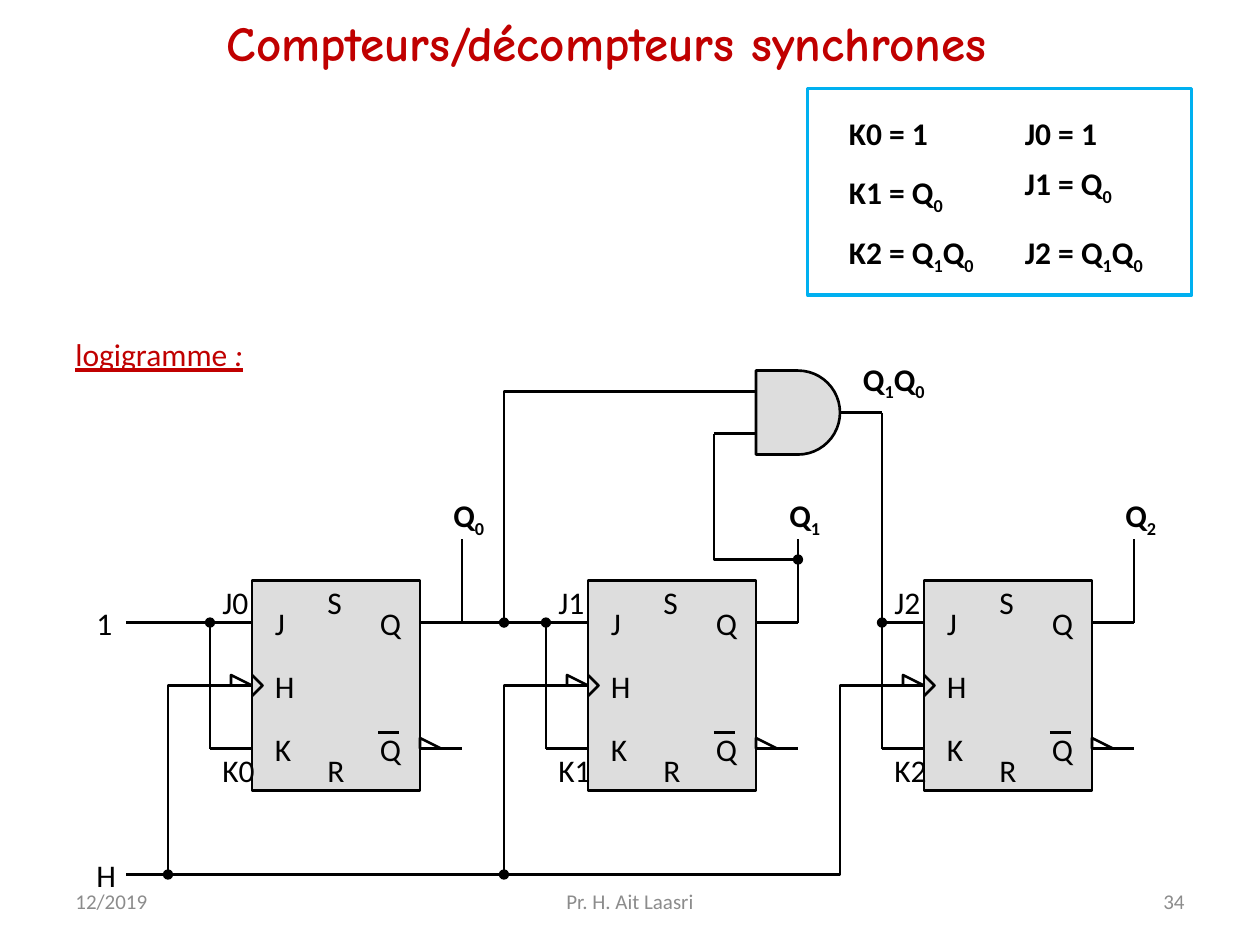
import dataclasses

import lxml.etree
import pptx
import pptx.dml.color
import pptx.enum.shapes
import pptx.enum.text
import pptx.oxml.ns
import pptx.util

Pt = pptx.util.Pt
Align = pptx.enum.text.PP_ALIGN
Preset = pptx.enum.shapes.MSO_SHAPE
AutoSize = pptx.enum.text.MSO_AUTO_SIZE
Middle = pptx.enum.text.MSO_ANCHOR.MIDDLE


@dataclasses.dataclass(frozen=True)
class Theme:
    """Colours, fonts and sizes of the slide."""
    ink: str = "000000"
    accent: str = "C00000"
    frame: str = "00B0F0"
    block: str = "DDDDDD"
    muted: str = "8C8C8C"
    body_font: str = "Calibri"
    title_font: str = "Comic Neue"
    title_size: float = 28
    body_size: float = 18
    footer_size: float = 12
    wire_width: float = 1.5
    frame_width: float = 2


def rgb(colour):
    """Turn a hex string into a colour."""
    return pptx.dml.color.RGBColor.from_string(colour)


def grid(x, y):
    """Place a point of the circuit grid, 12 points a step."""
    return Pt(12 * x), Pt(12 * y + 7.75)


class Board:
    """Draws text and circuit parts on one slide."""

    def __init__(self, slide, theme):
        """Keep the slide and its style."""
        self.slide = slide
        self.shapes = slide.shapes
        self.theme = theme

    def run(self, paragraph, text, size=None, colour=None, font=None,
            bold=False, italic=False, underline=False, subscript=False):
        """Add one formatted run."""
        piece = paragraph.add_run()
        piece.text = text
        piece.font.name = font or self.theme.body_font
        piece.font.size = Pt(size or self.theme.body_size)
        piece.font.color.rgb = rgb(colour or self.theme.ink)
        piece.font.bold = bold
        piece.font.italic = italic
        piece.font.underline = underline
        if subscript:
            piece._r.get_or_add_rPr().set("baseline", "-25000")

    def symbols(self, paragraph, text, bold=False):
        """Add text in which each underscore lowers the next character."""
        start, *rest = text.split("_")
        self.run(paragraph, start, bold=bold)
        for part in rest:
            self.run(paragraph, part[0], bold=bold, subscript=True)
            if part[1:]:
                self.run(paragraph, part[1:], bold=bold)

    def text_box(self, left, top, width, height, wrap=True, middle=False):
        """Add an empty text box and return its text frame."""
        frame = self.shapes.add_textbox(left, top, width, height).text_frame
        frame.word_wrap = wrap
        if middle:
            frame.vertical_anchor = Middle
        else:
            frame.auto_size = AutoSize.SHAPE_TO_FIT_TEXT
        return frame

    def title(self, text, left, top, width, height):
        """Fill and place the title placeholder."""
        heading = self.shapes.title
        heading.left, heading.top = Pt(left), Pt(top)
        heading.width, heading.height = Pt(width), Pt(height)
        frame = heading.text_frame
        frame.auto_size = AutoSize.NONE
        frame.vertical_anchor = Middle
        frame.paragraphs[0].alignment = Align.CENTER
        self.run(frame.paragraphs[0], text, self.theme.title_size,
                 self.theme.accent, self.theme.title_font, bold=True)

    def footer(self, text, left, width, align):
        """Add one part of the footer line."""
        frame = self.text_box(Pt(left), Pt(500.5), Pt(width), Pt(29), middle=True)
        frame.paragraphs[0].alignment = align
        self.run(frame.paragraphs[0], text, self.theme.footer_size, self.theme.muted)

    def label(self, text, x, y, bold=False, width=2):
        """Add a pin or signal name on the grid, on one line."""
        frame = self.text_box(*grid(x, y), Pt(12 * width), Pt(24),
                              wrap=False, middle=True)
        frame.margin_right = 0
        self.symbols(frame.paragraphs[0], text, bold)

    def formula(self, text, left, top, width):
        """Add one input equation."""
        frame = self.text_box(Pt(left), Pt(top), Pt(width), Pt(29), wrap=False)
        self.symbols(frame.paragraphs[0], text, bold=True)

    def block(self, preset, left, top, width, height, fill=None, line=None, weight=None):
        """Add a preset outline, filled or open."""
        shape = self.shapes.add_shape(preset, left, top, width, height)
        shape.shadow.inherit = False
        if fill:
            shape.fill.solid()
            shape.fill.fore_color.rgb = rgb(fill)
        else:
            shape.fill.background()
        shape.line.color.rgb = rgb(line or self.theme.ink)
        shape.line.width = Pt(weight or self.theme.wire_width)

    def wire(self, *points, dot=False):
        """Join grid points, with a junction dot at the first if asked."""
        places = [grid(*point) for point in points]
        if len(places) == 2:
            wire = self.shapes.add_connector(
                pptx.enum.shapes.MSO_CONNECTOR.STRAIGHT, *places[0], *places[1])
            lxml.etree.SubElement(wire._element.spPr, pptx.oxml.ns.qn("a:effectLst"))
        else:
            builder = self.shapes.build_freeform(*places[0])
            builder.add_line_segments(places[1:], close=False)
            wire = builder.convert_to_shape()
            wire.shadow.inherit = False
            wire.fill.background()
        wire.line.color.rgb = rgb(self.theme.ink)
        wire.line.width = Pt(self.theme.wire_width)
        if dot:
            outline = wire.line._get_or_add_ln()
            lxml.etree.SubElement(outline, pptx.oxml.ns.qn("a:headEnd"), type="oval")

    def flip_flop(self, x, index):
        """Draw a JK flip-flop whose left edge is at x, with its output."""
        self.block(Preset.RECTANGLE, *grid(x, 27), Pt(96), Pt(120), self.theme.block)
        for y in (29, 32, 35):
            self.wire((x - 2, y), (x, y))
        for y in (29, 35):
            self.wire((x + 8, y), (x + 10, y))
        self.wire((x + 6, 34.25), (x + 7, 34.25))
        self.wire((x, 31.5), (x + 0.5, 32), (x, 32.5))
        self.wire((x, 32), (x - 1, 31.5), (x - 1, 32))
        self.wire((x + 8, 35), (x + 8, 34.5), (x + 9, 35))
        pins = [("J", 0.5, 28), ("H", 0.5, 31), ("K", 0.5, 34), ("Q", 5.5, 28),
                ("Q", 5.5, 34), ("S", 3, 27), ("R", 3, 35)]
        for name, offset, y in pins:
            self.label(name, x + offset, y)
        for name, y in (("J", 27), ("K", 35)):
            self.label(f"{name}{index}", x - 2, y, width=2.5)
        self.wire((x - 2, 29), (x - 2, 35), dot=True)
        self.wire((x + 10, 29), (x + 10, 25))
        self.label(f"Q_{index}", x + 9, 23, bold=True, width=2.5)

    def and_gate(self, x, y):
        """Draw the AND gate with its top left corner at x, y."""
        self.block(Preset.FLOWCHART_DELAY, *grid(x, y), Pt(48), Pt(48), self.theme.block)
        for start, end, row in ((-2, 0, 1), (-2, 0, 3), (4, 6, 2)):
            self.wire((x + start, y + row), (x + end, y + row))
        self.label("Q_1Q_0", x + 4.5, y - 0.5, bold=True, width=4)


def main():
    """Build the slide and save it."""
    deck = pptx.Presentation()
    deck.slide_width, deck.slide_height = Pt(720), Pt(540)
    theme = Theme()
    board = Board(deck.slides.add_slide(deck.slide_layouts[5]), theme)
    board.title("Compteurs/décompteurs synchrones", 22.5, -11.5, 648, 71)

    for index in range(3):
        board.flip_flop(12 + 16 * index, index)
    board.and_gate(36, 17)

    board.label("H", 4, 40)
    for start, rise in ((6, 8), (8, 24), (24, 40)):
        board.wire((start, 41), (rise, 41), (rise, 32), (rise + 2, 32), dot=start > 6)
    board.label("1", 4, 28)
    board.wire((6, 29), (10, 29))
    board.wire((22, 29), (26, 29))
    board.wire((42, 19), (42, 29))
    board.wire((38, 26), (34, 26), (34, 20), dot=True)
    board.wire((24, 29), (24, 18), (34, 18), dot=True)

    heading = board.text_box(Pt(36), Pt(188), Pt(138), Pt(29)).paragraphs[0]
    board.run(heading, "logigramme", colour=theme.accent, underline=True)
    board.run(heading, " :", colour=theme.accent, underline=True, italic=True)

    equations = [("K0 = 1", 478, 61.5, 60), ("K1 = Q_0", 478, 95.5, 71),
                 ("K2 = Q_1Q_0", 478, 129.5, 89), ("J0 = 1", 578.5, 61.5, 57),
                 ("J1 = Q_0", 578.5, 90, 69), ("J2 = Q_1Q_0", 578.5, 129.5, 85)]
    for equation in equations:
        board.formula(*equation)
    board.block(Preset.RECTANGLE, Pt(461.5), Pt(50.5), Pt(219.5), Pt(118),
                line=theme.frame, weight=theme.frame_width)

    board.footer("12/2019", 36, 168, Align.LEFT)
    board.footer("Pr. H. Ait Laasri", 246, 228, Align.CENTER)
    board.footer("34", 516, 168, Align.RIGHT)
    deck.save("out.pptx")


main()
